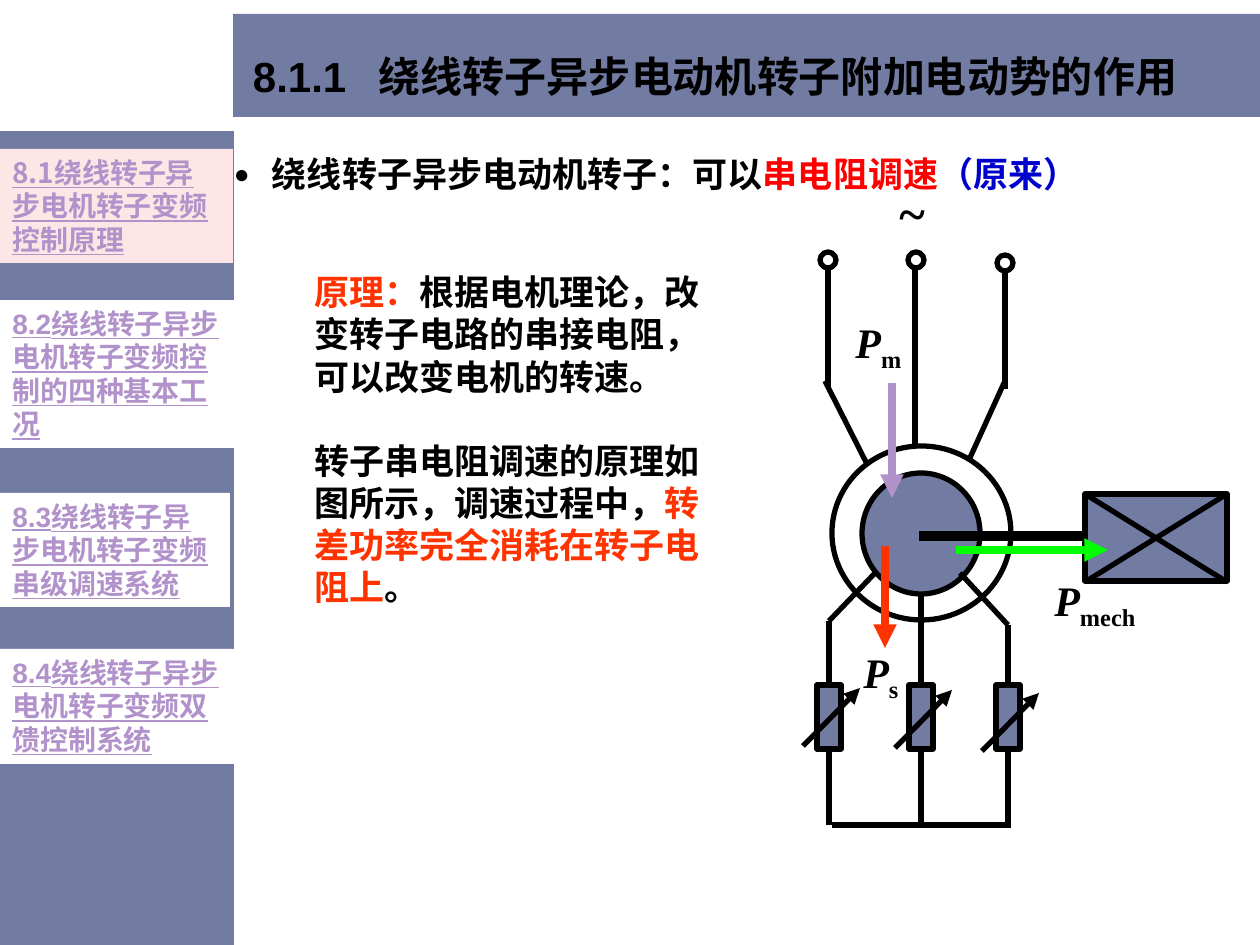
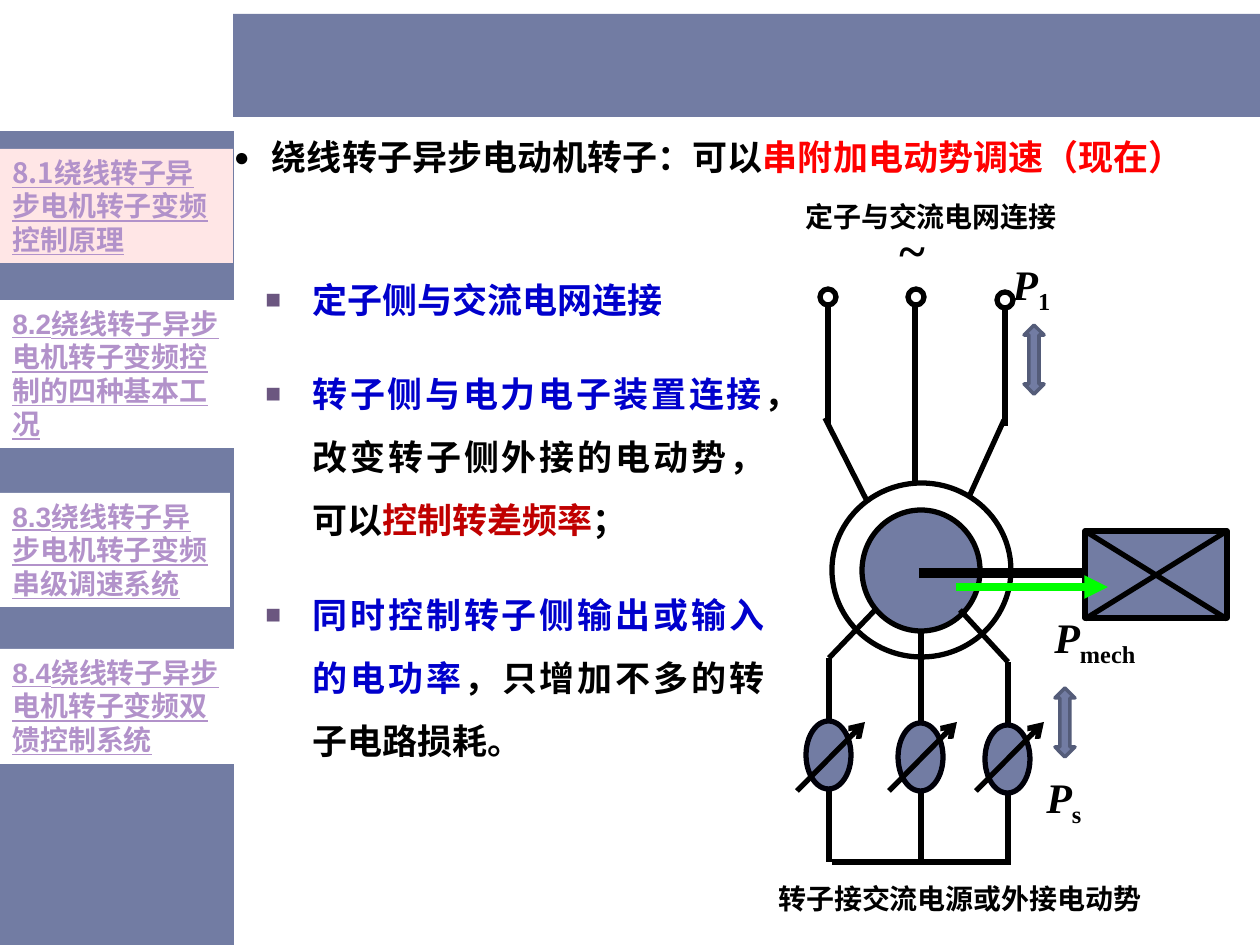
from pptx import Presentation
from pptx import util as u
from pptx.dml.color import RGBColor
from pptx.enum import shapes, text
from pptx.oxml.ns import qn
from lxml import etree

PX = u.Inches(1) / 126
INK, SLATE, LILAC, WHITE = "000000", "727CA3", "B292CA", "FFFFFF"
RED, BLUE, ORANGE, GREEN = "FF0000", "0000CC", "FF3300", "00FF00"
SANS, SERIF, CJK = "Arial", "Times New Roman", "Noto Sans CJK SC"
GEOMETRY = shapes.MSO_SHAPE
RECT, OVAL, TWO_WAY = GEOMETRY.RECTANGLE, GEOMETRY.OVAL, GEOMETRY.UP_DOWN_ARROW
TOP, MIDDLE = text.MSO_ANCHOR.TOP, text.MSO_ANCHOR.MIDDLE
LEFT, JUSTIFY = text.PP_ALIGN.LEFT, text.PP_ALIGN.JUSTIFY
FLUSH = {"margin_left": 0, "margin_top": 0, "margin_bottom": 0}
HEADING = {**FLUSH, "vertical_anchor": MIDDLE}


def draw(slide, geometry, place, fill=None, edge=None, weight=3, head=None):
    spots = [round(value * PX) for value in place]
    if geometry == "text":
        return slide.shapes.add_textbox(*spots)
    if geometry == "line":
        part = slide.shapes.add_connector(shapes.MSO_CONNECTOR.STRAIGHT, *spots)
        etree.SubElement(part._element.spPr, qn("a:effectLst"))
    else:
        part = slide.shapes.add_shape(geometry, *spots)
        part.shadow.inherit = False
        if fill:
            part.fill.solid()
            part.fill.fore_color.rgb = RGBColor.from_string(fill)
        else:
            part.fill.background()
    if edge:
        part.line.color.rgb = RGBColor.from_string(edge)
        part.line.width = u.Pt(weight)
    else:
        part.line.fill.background()
    if head:
        etree.SubElement(part.line._get_or_add_ln(), qn("a:tailEnd"), type=head)
    return part


def write(part, paragraphs, size, face=SANS, frame={}, layout={}, bullet=None, indent=0, tab=0):
    for key, value in {"word_wrap": True, "vertical_anchor": TOP, **frame}.items():
        setattr(part.text_frame, key, value)
    for number, runs in enumerate(paragraphs):
        paragraph = part.text_frame.paragraphs[0] if number == 0 else part.text_frame.add_paragraph()
        for key, value in {"alignment": LEFT, **layout}.items():
            setattr(paragraph, key, value)
        properties = paragraph._p.get_or_add_pPr()
        if bullet:
            mark, mark_color = bullet
            properties.set("marL", str(round(indent * PX)))
            properties.set("indent", str(round(-indent * PX)))
            tint = etree.SubElement(properties, qn("a:buClr"))
            etree.SubElement(tint, qn("a:srgbClr"), val=mark_color)
            etree.SubElement(properties, qn("a:buSzPct"), val="75000")
            etree.SubElement(properties, qn("a:buFont"), typeface=SANS)
            etree.SubElement(properties, qn("a:buChar"), char=mark)
        if tab:
            stops = etree.SubElement(properties, qn("a:tabLst"))
            etree.SubElement(stops, qn("a:tab"), pos=str(round(tab * PX)), algn="l")
        for words, color, *extra in runs:
            run = paragraph.add_run()
            run.text = words
            style = {"size": u.Pt(size), "name": face, "bold": True}
            for changes in extra:
                style.update(changes)
            baseline = style.pop("baseline", None)
            for key, value in style.items():
                setattr(run.font, key, value)
            run.font.color.rgb = RGBColor.from_string(color)
            run_properties = run._r.get_or_add_rPr()
            etree.SubElement(run_properties, qn("a:ea"), typeface=CJK)
            if baseline:
                run_properties.set("baseline", baseline)


deck = Presentation()
deck.slide_width, deck.slide_height = u.Inches(10), u.Inches(7.5)
resistor_slide, emf_slide = [deck.slides.add_slide(deck.slide_layouts[6]) for _ in range(2)]

chapters = [
    ("8.1绕线转子异步电机转子变频控制原理", 149, 233, 114, "FFE6E6", CJK),
    ("8.2绕线转子异步电机转子变频控制的四种基本工况", 300, 234, 148, WHITE, SANS),
    ("8.3绕线转子异步电机转子变频串级调速系统", 493, 230, 114, WHITE, SANS),
    ("8.4绕线转子异步电机转子变频双馈控制系统", 649, 237, 115, WHITE, SANS),
]
phases = [829, 921, 1008]
terminals = [(820, 252), (908, 252), (997, 255)]
wires = [
    (828, 387, 828, 268), (915, 446, 915, 268), (1005, 389, 1005, 272),
    (825, 381, 868, 466), (1004, 383, 969, 460),
    (1085, 494, 1227, 582), (1085, 582, 1227, 494),
    (829, 621, 829, 685), (921, 596, 921, 685), (1008, 625, 1008, 688),
    (829, 621, 877, 571), (960, 573, 1008, 625), (832, 825, 1011, 825),
] + [(x, 748, x, 825) for x in phases]
variants = [
    (resistor_slide, 0, (234, 137, 868, 79), [("串电阻调速", RED), ("（原来）", BLUE)],
     [("m", 843, 310), ("mech", 1042, 568), ("s", 851, 640)]),
    (emf_slide, 37, (234, 120, 1007, 79), [("串附加电动势调速（现在）", RED)],
     [("1", 1000, 252), ("mech", 1042, 605), ("s", 1034, 765)]),
]

for slide, drop, topic_place, topic_ending, powers in variants:
    draw(slide, RECT, (233, 14, 1027, 103), SLATE)
    draw(slide, RECT, (0, 131, 234, 814), SLATE)
    for title, top, width, height, fill, face in chapters:
        link = draw(slide, RECT, (0, top, width, height), fill)
        write(link, [[(title, LILAC, {"underline": True})]], 16, face)

    topic = draw(slide, "text", topic_place)
    write(topic, [[("绕线转子异步电动机转子：可以", INK)] + topic_ending],
          20, SERIF, HEADING, {"line_spacing": 0.9}, ("●", INK), 38)

    supply = draw(slide, "text", (887, 176 + drop, 97, 72))
    write(supply, [[("~", INK)]], 28, SERIF, layout={"space_before": u.Pt(14)})
    for left, top in terminals:
        draw(slide, OVAL, (left, top + drop, 16, 16), None, INK)
    draw(slide, OVAL, (832, 446 + drop, 179, 174), None, INK)
    draw(slide, OVAL, (862, 473 + drop, 118, 121), SLATE, INK)
    draw(slide, RECT, (1085, 494 + drop, 142, 87), SLATE, INK)
    for x1, y1, x2, y2 in wires:
        draw(slide, "line", (x1, y1 + drop, x2, y2 + drop), edge=INK)
    draw(slide, "line", (919, 536 + drop, 1085, 536 + drop), edge=INK, weight=6)
    draw(slide, "line", (956, 550 + drop, 1108, 550 + drop), edge=GREEN, weight=4.5, head="triangle")
    for index, left, top in powers:
        label = draw(slide, "text", (left, top, 149 if index == "mech" else 88, 63))
        write(label, [[("P", INK, {"italic": True}), (index, INK, {"baseline": "-25000"})]], 24, SERIF)

for x, shift in zip(phases, (0, 2, 5)):
    draw(resistor_slide, RECT, (x - 12, 685, 24, 64), SLATE, INK)
    draw(resistor_slide, "line", (x - 26, 746 + shift, x + 31, 688 + shift), edge=INK, head="triangle")
for x, top in zip(phases, (721, 723, 725)):
    draw(emf_slide, OVAL, (x - 23, top, 45, 68), SLATE, "000009")
    draw(emf_slide, "line", (x - 32, 791, x + 36, 722), edge=INK, head="arrow")

for x, start, end, color in [(892, 383, 498, LILAC), (885, 546, 648, ORANGE)]:
    draw(resistor_slide, "line", (x, start, x, end), edge=color, weight=4.5, head="triangle")
for left, top in [(1024, 325), (1055, 688)]:
    draw(emf_slide, TWO_WAY, (left, top, 20, 69), SLATE, "545C79", 2)

section = draw(resistor_slide, "text", (253, 34, 950, 89))
write(section, [[("8.1.1\t绕线转子异步电动机转子附加电动势的作用", INK)]],
      24, frame=HEADING, layout={"line_spacing": 0.9}, tab=126)

principle = draw(resistor_slide, "text", (314, 271, 408, 367))
write(principle, [
    [("原理：", ORANGE), ("根据电机理论，改变转子电路的串接电阻，可以改变电机的转速。", INK)],
    [("转子串电阻调速的原理如图所示，调速过程中，", INK),
     ("转差功率完全消耗在转子电阻上", ORANGE), ("。", INK)],
], 20, frame=FLUSH, layout={"space_before": u.Pt(24)})

connections = draw(emf_slide, "text", (253, 251, 524, 591))
write(connections, [
    [("定子侧与交流电网连接", BLUE)],
    [("转子侧与电力电子装置连接", BLUE), ("，改变转子侧外接的电动势，可以", INK),
     ("控制转差频率", "C00000"), ("；", INK)],
    [("同时控制转子侧输出或输入的电功率", BLUE), ("，只增加不多的转子电路损耗。", INK)],
], 20, SERIF, layout={"alignment": JUSTIFY, "line_spacing": 1.5, "space_before": u.Pt(18)},
      bullet=("■", "6B5680"), indent=47)

for caption, left, top, width in [("定子与交流电网连接", 793, 197, 348),
                                  ("转子接交流电源或外接电动势", 766, 879, 417)]:
    write(draw(emf_slide, "text", (left, top, width, 43)), [[(caption, INK)]],
          16, layout={"line_spacing": 0.9})

deck.save("out.pptx")
